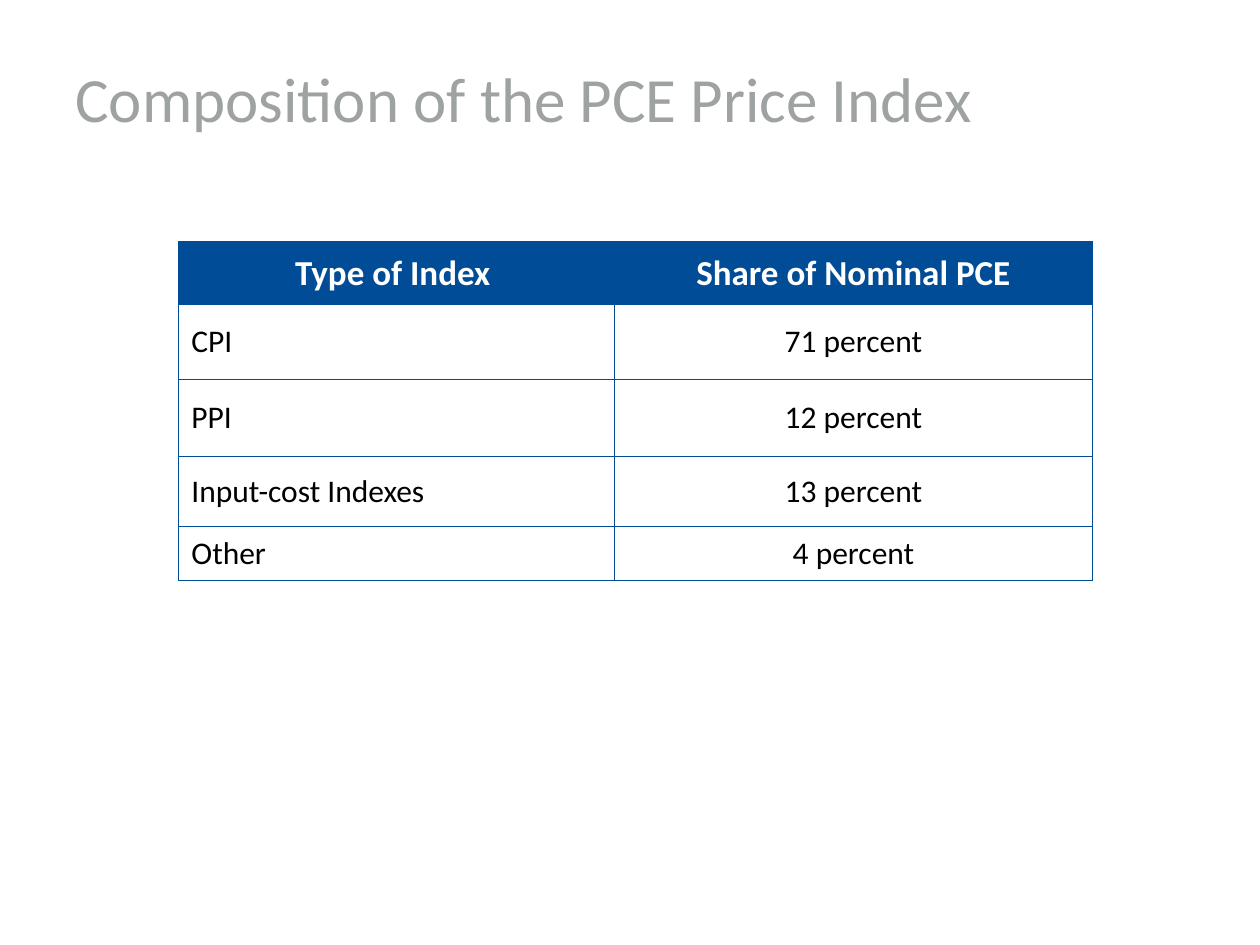
from lxml import etree
from pptx import Presentation
from pptx.dml.color import RGBColor
from pptx.enum.text import MSO_ANCHOR, PP_ALIGN
from pptx.oxml.ns import qn
from pptx.util import Pt

BLUE = RGBColor(0x00, 0x4C, 0x97)
GREY = RGBColor(0x9E, 0xA2, 0xA2)
WHITE = RGBColor(0xFF, 0xFF, 0xFF)
BLACK = RGBColor(0x00, 0x00, 0x00)
MIDDLE = MSO_ANCHOR.MIDDLE
LEFT, CENTER = PP_ALIGN.LEFT, PP_ALIGN.CENTER
FONT = "Calibri"

TITLE = "Composition of the PCE Price Index"
ROWS = [
    ("Type of Index ", "Share of Nominal PCE"),
    ("CPI", "71 percent"),
    ("PPI", "12 percent"),
    ("Input-cost Indexes", "13 percent"),
    ("Other", "4 percent"),
]
COL_WIDTHS = [249.1, 272.9]
ROW_HEIGHTS = [36, 42.5, 43.9, 40.3, 31]


def add_text(tf, text, size, color, align=LEFT, bold=False, before=0):
    """Write one formatted run into the first paragraph of a text frame."""
    p = tf.paragraphs[0]
    p.alignment = align
    p.space_before = Pt(before)
    r = p.add_run()
    r.text = text
    r.font.name = FONT
    r.font.size = Pt(size)
    r.font.bold = bold
    r.font.color.rgb = color


def add_title(s, text):
    """Add the slide title."""
    tf = s.shapes.add_textbox(Pt(36), Pt(18), Pt(540), Pt(72)).text_frame
    tf.word_wrap = True
    tf.vertical_anchor = MIDDLE
    tf.margin_bottom = 0
    add_text(tf, text, 36, GREY)


def set_borders(cell, color, width):
    """Draw a solid line on all four sides of a cell."""
    tcPr = cell._tc.get_or_add_tcPr()
    for side in ("a:lnL", "a:lnR", "a:lnT", "a:lnB"):
        ln = etree.SubElement(tcPr, qn(side), w=str(Pt(width)))
        fill = etree.SubElement(ln, qn("a:solidFill"))
        etree.SubElement(fill, qn("a:srgbClr"), val=str(color))


def fill_cell(cell, text, header, align):
    """Format a header or body cell and write its text."""
    cell.vertical_anchor = MIDDLE
    set_borders(cell, BLUE, 0.45)
    if header:
        cell.fill.solid()
        cell.fill.fore_color.rgb = BLUE
        add_text(cell.text_frame, text, 20, WHITE, align, True, 5)
    else:
        cell.fill.background()
        add_text(cell.text_frame, text, 18, BLACK, align, False, 4.5)


def add_index_table(s, left, top):
    """Add the table of index types and their shares."""
    table = s.shapes.add_table(
        len(ROWS), len(COL_WIDTHS), Pt(left), Pt(top),
        Pt(sum(COL_WIDTHS)), Pt(sum(ROW_HEIGHTS))).table
    table.horz_banding = False
    for column, width in zip(table.columns, COL_WIDTHS):
        column.width = Pt(width)
    for i, (row, height) in enumerate(zip(table.rows, ROW_HEIGHTS)):
        row.height = Pt(height)
        for j, text in enumerate(ROWS[i]):
            align = CENTER if i == 0 or j == 1 else LEFT
            fill_cell(table.cell(i, j), text, i == 0, align)


def main():
    """Build and save the slide."""
    prs = Presentation()
    prs.slide_width, prs.slide_height = Pt(720), Pt(540)
    s = prs.slides.add_slide(prs.slide_layouts[6])
    add_title(s, TITLE)
    add_index_table(s, 102.2, 138.2)
    prs.save("out.pptx")


if __name__ == "__main__":
    main()
